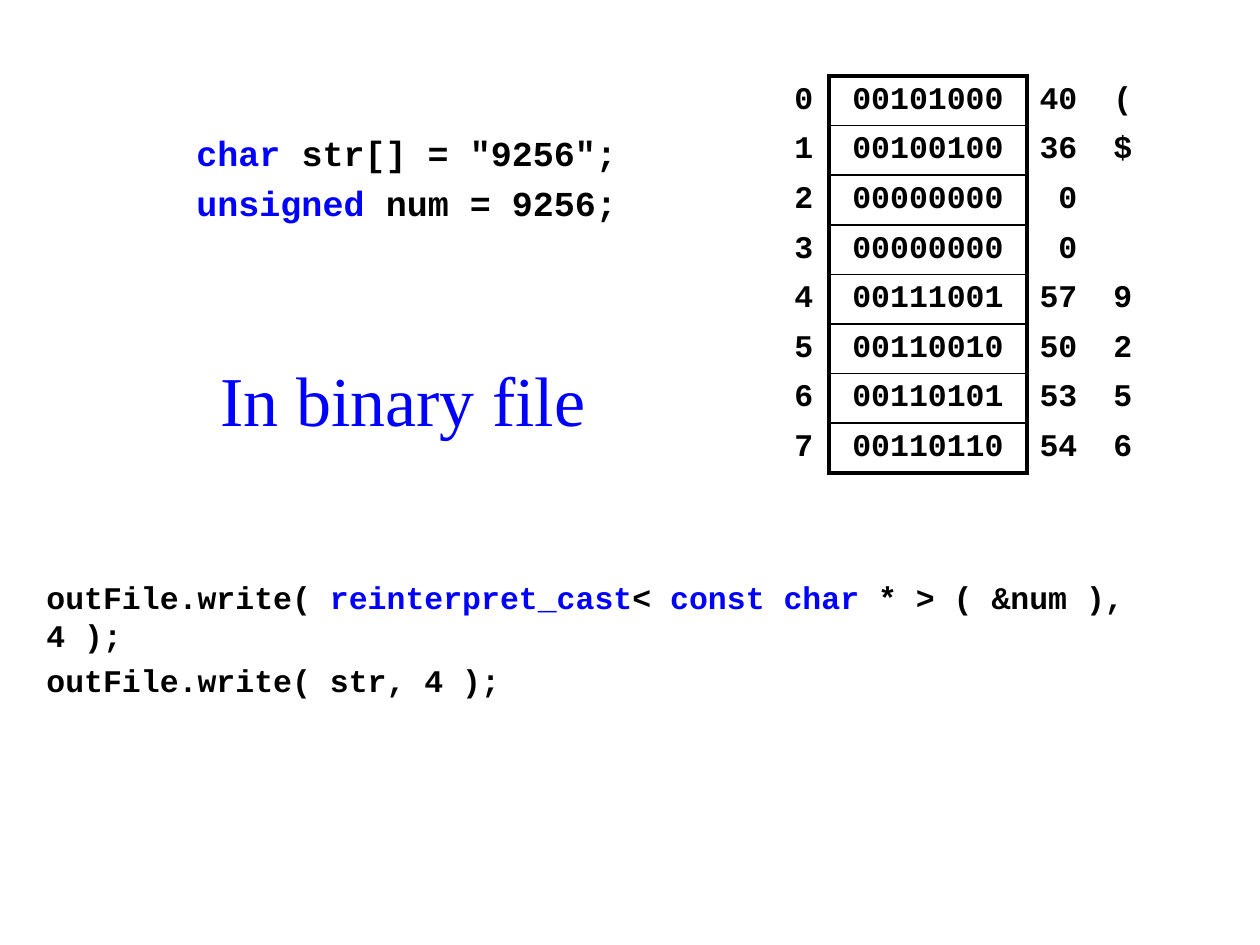
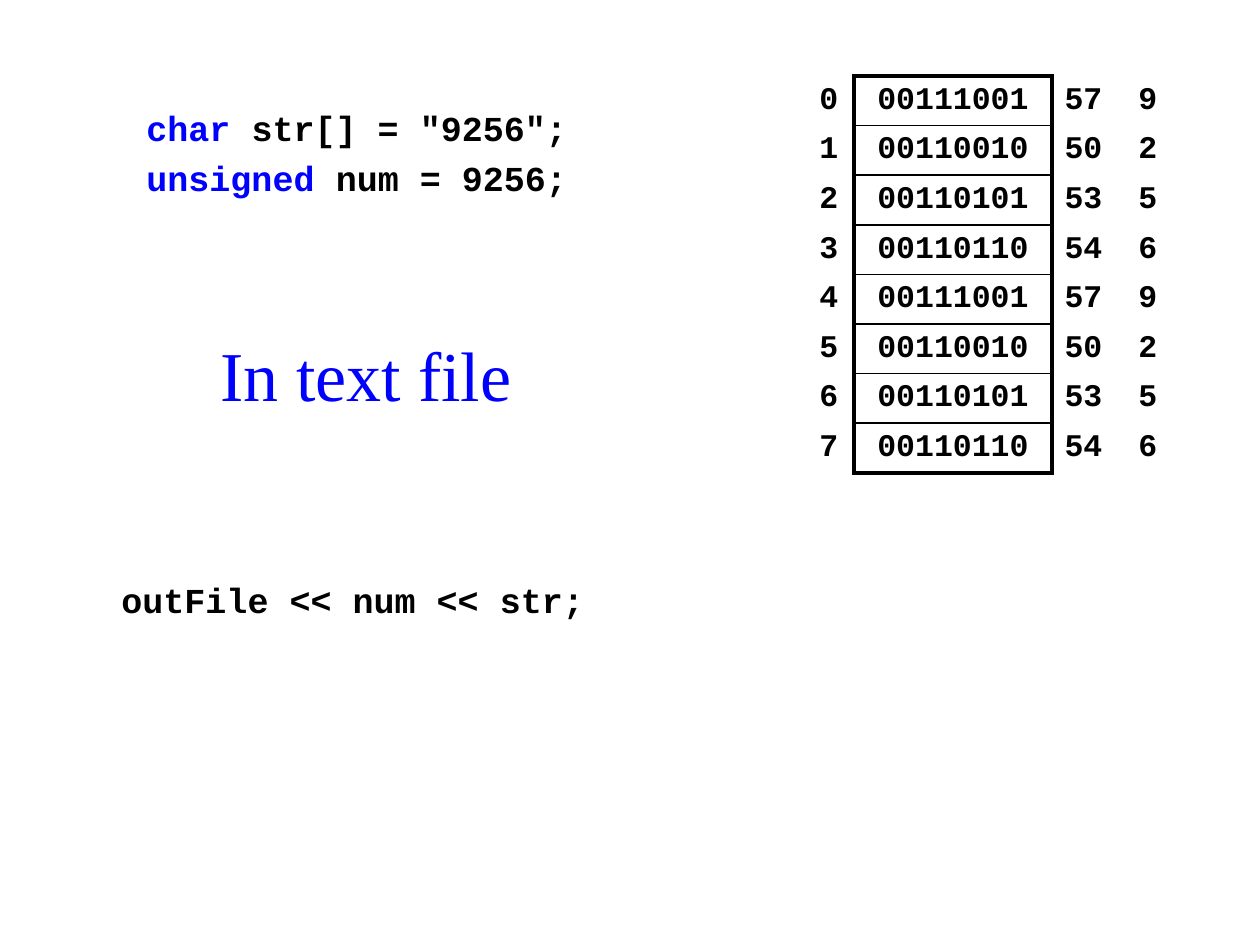
"""Builds two slides comparing how a binary file and a text file store the same data."""
import pptx
import pptx.dml.color
import pptx.enum.text
import pptx.oxml
import pptx.oxml.ns
import pptx.util

EMU_PER_PIXEL = 914400 // 126
BLACK = pptx.dml.color.RGBColor(0x00, 0x00, 0x00)
BLUE = pptx.dml.color.RGBColor(0x00, 0x00, 0xFF)
CODE_FONT = "Courier New"
TITLE_FONT = "Times New Roman"
PLAIN_TABLE_STYLE = "{2D5ABB26-0587-4C30-8999-92F81FD0307C}"
THICK, THIN = 2.25, 1
COLUMN_WIDTHS = (50, 198, 74, 50)
TABLE_TOP, TABLE_HEIGHT = 76, 397
SPACING_RATIO = 0.23

MIDDLE = pptx.enum.text.MSO_ANCHOR.MIDDLE
CENTER = pptx.enum.text.PP_ALIGN.CENTER

DECLARATIONS = [
    [("char", BLUE), (' str[] = "9256";', BLACK)],
    [("unsigned", BLUE), (" num = 9256;", BLACK)],
]
BINARY_WRITES = [
    [
        ("outFile.write( ", BLACK),
        ("reinterpret_cast", BLUE),
        ("< ", BLACK),
        ("const char", BLUE),
        (" * > ( &num ), 4 );", BLACK),
    ],
    [("outFile.write( str, 4 );", BLACK)],
]
TEXT_WRITE = [[("outFile << num << str;", BLACK)]]
DIGIT_BYTES = [(57, "9"), (50, "2"), (53, "5"), (54, "6")]
NUMBER_BYTES = [(40, "("), (36, "$"), (0, ""), (0, "")]


def scale(pixels):
    """Turn pixels into EMU."""
    return pptx.util.Emu(pixels * EMU_PER_PIXEL)


def style_span(span, font, size, color, bold):
    """Set the look of one run."""
    span.font.name = font
    span.font.size = pptx.util.Pt(size)
    span.font.color.rgb = color
    span.font.bold = bold


def add_text(page, place, lines, size, font=CODE_FONT, bold=True, anchor=None):
    """Add a text box whose lines are lists of (text, colour) pieces."""
    box = page.shapes.add_textbox(*map(scale, place))
    frame = box.text_frame
    frame.word_wrap = True
    frame.vertical_anchor = anchor
    for index, pieces in enumerate(lines):
        para = frame.add_paragraph() if index else frame.paragraphs[0]
        para.space_before = pptx.util.Pt(size * SPACING_RATIO)
        for text, color in pieces:
            span = para.add_run()
            span.text = text
            style_span(span, font, size, color, bold)


def set_borders(cell, widths):
    """Draw the given sides (L, R, T, B) of a cell and clear the others."""
    properties = cell._tc.get_or_add_tcPr()
    for index, side in enumerate("LRTB"):
        width = widths.get(side)
        if width:
            size = f' w="{pptx.util.Pt(width)}"'
            fill = f'<a:solidFill><a:srgbClr val="{BLACK}"/></a:solidFill>'
        else:
            size, fill = "", "<a:noFill/>"
        namespace = pptx.oxml.ns.nsdecls("a")
        line = pptx.oxml.parse_xml(f"<a:ln{side} {namespace}{size}>{fill}</a:ln{side}>")
        properties.insert(index, line)


def cell_borders(row, column, last_row):
    """Give the border widths that frame the byte column."""
    if column == 0:
        return {"R": THICK}
    if column == 1:
        top = THICK if row == 0 else THIN
        bottom = THICK if row == last_row else THIN
        return {"L": THICK, "R": THICK, "T": top, "B": bottom}
    return {"L": THICK} if column == 2 else {}


def fill_cell(cell, text, centered):
    """Write one value into a table cell."""
    cell.fill.background()
    cell.vertical_anchor = MIDDLE
    cell.margin_top = cell.margin_bottom = scale(5)
    cell.text_frame.text = text
    para = cell.text_frame.paragraphs[0]
    if centered:
        para.alignment = CENTER
    for span in para.runs:
        style_span(span, CODE_FONT, 18, BLACK, True)


def add_byte_table(page, left, stored):
    """Add the table of address, bits, value and character."""
    count = len(stored)
    frame = page.shapes.add_table(
        count, len(COLUMN_WIDTHS), scale(left), scale(TABLE_TOP),
        scale(sum(COLUMN_WIDTHS)), scale(TABLE_HEIGHT))
    table = frame.table
    table.first_row = table.horz_banding = False
    table._tbl.tblPr.find(pptx.oxml.ns.qn("a:tableStyleId")).text = PLAIN_TABLE_STYLE
    for column, width in zip(table.columns, COLUMN_WIDTHS):
        column.width = scale(width)
    for row, (value, character) in enumerate(stored):
        table.rows[row].height = scale(TABLE_HEIGHT) // count
        texts = (str(row), f"{value:08b}", f"{value:2d}", character)
        for column, text in enumerate(texts):
            cell = table.cell(row, column)
            fill_cell(cell, text, column < 2)
            set_borders(cell, cell_borders(row, column, count - 1))


def add_title(page, place, text):
    """Add the blue heading of a slide."""
    add_text(page, place, [[(text, BLUE)]], 40, TITLE_FONT, False, MIDDLE)


def add_page(deck):
    """Add a blank slide."""
    return deck.slides.add_slide(deck.slide_layouts[6])


def build_binary_page(deck):
    """Show the bytes of the binary file."""
    page = add_page(deck)
    add_byte_table(page, 779, NUMBER_BYTES + DIGIT_BYTES)
    add_text(page, (34, 572, 1191, 100), BINARY_WRITES, 18)
    add_text(page, (184, 125, 447, 100), DECLARATIONS, 20)
    add_title(page, (208, 349, 397, 100), "In binary file")


def build_text_page(deck):
    """Show the bytes of the text file."""
    page = add_page(deck)
    add_byte_table(page, 804, DIGIT_BYTES * 2)
    add_text(page, (109, 572, 497, 50), TEXT_WRITE, 20)
    add_text(page, (134, 100, 447, 100), DECLARATIONS, 20)
    add_title(page, (208, 324, 323, 100), "In text file")


def main():
    """Build and save the deck."""
    deck = pptx.Presentation()
    deck.slide_width = pptx.util.Inches(10)
    deck.slide_height = pptx.util.Inches(7.5)
    build_binary_page(deck)
    build_text_page(deck)
    deck.save("out.pptx")


main()
